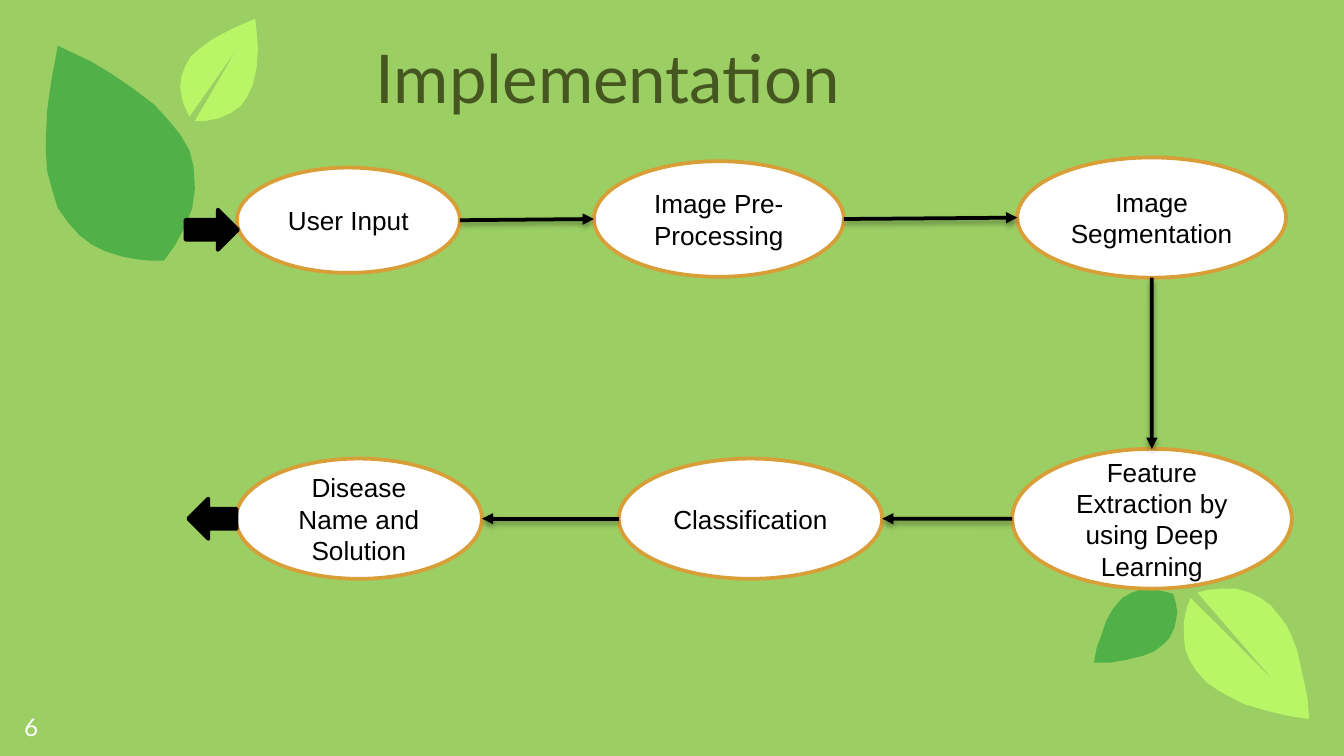
from dataclasses import dataclass

from lxml import etree
from pptx import Presentation
from pptx import util as u
from pptx.dml.color import RGBColor
from pptx.enum import shapes, text
from pptx.oxml import ns


@dataclass(frozen=True)
class Theme:
    background: str = "9BCF63"
    leaf_light: str = "B8F567"
    leaf_dark: str = "51B148"
    title: str = "465621"
    outline: str = "D89F39"
    white: str = "FFFFFF"
    black: str = "000000"
    heading_font: str = "Lato"
    body_font: str = "Arial"
    title_size: float = 36
    body_size: float = 14
    number_size: float = 13
    line_width: float = 2


LIGHT_LEAVES = [
    [(686.9, 331.9), (681.1, 324.7), (675.4, 320.4), (669.6, 317.5), (662.4, 315.4),
     (653.8, 315.4), (646.6, 316.1), (641.5, 317.5), (682.6, 365), (637.9, 320.4),
     (635.8, 325.4), (634.3, 332.6), (634.3, 341.3), (635, 347.8), (637.2, 353.5),
     (640.8, 359.3), (646.6, 365.8), (653, 370.1), (659.5, 373.7), (666.7, 377.3),
     (679, 380.9), (691.2, 383.8), (701.3, 385.2), (700.6, 375.1), (699.1, 367.2),
     (697, 357.8), (694.8, 347.8), (691.9, 340.6), (689.8, 336.2)],
    [(96.5, 46.8), (97.9, 54.7), (101.5, 62.6), (126.7, 26.6), (104.4, 64.8),
     (110.2, 64.8), (117.4, 63.4), (123.8, 60.5), (128.9, 56.9), (132.5, 51.8),
     (135.4, 45.4), (137.5, 36.7), (138.2, 25.9), (137.5, 17.3), (136.8, 10.1),
     (128.2, 13.7), (119.5, 18), (113, 21.6), (107.3, 25.9), (102.2, 30.2),
     (99.4, 35.3), (97.2, 41)],
]
DARK_LEAVES = [
    [(628.6, 318.2), (623.5, 316.8), (617.8, 315.4), (612, 315.4), (606.2, 317.5),
     (601.2, 320.4), (596.2, 326.2), (592.6, 332.6), (589.7, 341.3), (587.5, 347),
     (586.1, 355), (594.7, 355), (603.4, 353.5), (612, 351.4), (617.8, 349.2),
     (622.8, 345.6), (626.4, 342), (629.3, 336.2), (630.7, 328.3), (630, 323.3)],
    [(87.8, 139.7), (93.6, 131.8), (99.4, 121), (103, 111.6), (104.4, 100.8),
     (103.7, 89.3), (101.5, 80.6), (96.5, 72), (90, 64.1), (82.8, 56.2),
     (71.3, 47.5), (59.8, 39.6), (49, 33.1), (31, 24.5), (27.4, 43.9),
     (25.2, 59.8), (24.5, 77.8), (25.2, 91.4), (28.1, 102.2), (31, 111.6),
     (36.7, 119.5), (42.5, 126), (49, 131), (56.2, 134.6), (65.5, 137.5),
     (73.4, 139), (80.6, 139.7)],
]
STEPS = [
    ("User Input", (126.9, 89.8, 119.5, 56.4)),
    ("Image Pre-Processing", (318.2, 86.4, 133.9, 61.9)),
    ("Image Segmentation", (545, 84.4, 144, 64.4)),
    ("Feature Extraction by using Deep Learning", (542.2, 240.5, 149.8, 74.9)),
    ("Classification", (331.5, 245.7, 141.1, 64.4)),
    ("Disease Name and Solution", (126.4, 245.7, 131.8, 64.4)),
]
LINKS = [(0, "right", 1, "left"), (1, "right", 2, "left"), (2, "bottom", 3, "top"),
         (3, "left", 4, "right"), (4, "left", 5, "right")]


def write(shape, content, *, font, size, color, align=text.PP_ALIGN.LEFT,
          anchor=text.MSO_ANCHOR.MIDDLE, margins=(7.2, 3.6, 7.2, 3.6)):
    frame = shape.text_frame
    frame.word_wrap = True
    frame.auto_size = text.MSO_AUTO_SIZE.NONE
    frame.vertical_anchor = anchor
    (frame.margin_left, frame.margin_top,
     frame.margin_right, frame.margin_bottom) = map(u.Pt, margins)
    paragraph = frame.paragraphs[0]
    paragraph.text = content
    paragraph.alignment = align
    paragraph.font.name = font
    paragraph.font.size = u.Pt(size)
    paragraph.font.color.rgb = RGBColor.from_string(color)


def edge(shape, side):
    middle_x = shape.left + shape.width // 2
    middle_y = shape.top + shape.height // 2
    return {"left": (shape.left, middle_y), "top": (middle_x, shape.top),
            "right": (shape.left + shape.width, middle_y),
            "bottom": (middle_x, shape.top + shape.height)}[side]


class SlideBuilder:
    """Draw styled elements on the current slide."""

    def __init__(self, slide, theme):
        self.slide = slide
        self.theme = theme
        self.fill(slide.background, theme.background)

    def fill(self, target, color):
        target.fill.solid()
        target.fill.fore_color.rgb = RGBColor.from_string(color)

    def outline(self, shape, color):
        shape.line.color.rgb = RGBColor.from_string(color)
        shape.line.width = u.Pt(self.theme.line_width)

    def title(self, content, box):
        title = self.slide.shapes.title
        title.left, title.top, title.width, title.height = map(u.Pt, box)
        write(title, content, font=self.theme.heading_font, size=self.theme.title_size,
              color=self.theme.title, anchor=text.MSO_ANCHOR.TOP,
              margins=(27, 3.6, 7.2, 3.6))

    def number(self, content, box):
        shape = self.slide.shapes.add_textbox(*map(u.Pt, box))
        write(shape, content, font=self.theme.heading_font, size=self.theme.number_size,
              color=self.theme.white, margins=(7.2,) * 4)

    def leaf(self, points, color):
        start, *rest = [(u.Pt(x), u.Pt(y)) for x, y in points]
        builder = self.slide.shapes.build_freeform(*start)
        builder.add_line_segments(rest, close=True)
        shape = builder.convert_to_shape()
        shape.shadow.inherit = False
        self.fill(shape, color)
        shape.line.fill.background()

    def preset(self, kind, box, fill, line):
        shape = self.slide.shapes.add_shape(kind, *map(u.Pt, box))
        shape.shadow.inherit = False
        self.fill(shape, fill)
        self.outline(shape, line)
        return shape

    def step(self, content, box):
        shape = self.preset(shapes.MSO_SHAPE.OVAL, box, self.theme.white, self.theme.outline)
        write(shape, content, font=self.theme.body_font, size=self.theme.body_size,
              color=self.theme.black, align=text.PP_ALIGN.CENTER)
        return shape

    def block_arrow(self, box, rotation=0):
        black = self.theme.black
        self.preset(shapes.MSO_SHAPE.RIGHT_ARROW, box, black, black).rotation = rotation

    def link(self, start, end):
        line = self.slide.shapes.add_connector(shapes.MSO_CONNECTOR.STRAIGHT, *start, *end)
        self.outline(line, self.theme.black)
        etree.SubElement(line.line._get_or_add_ln(), ns.qn("a:tailEnd"), type="triangle")
        effects = etree.SubElement(line._element.spPr, ns.qn("a:effectLst"))
        shadow = etree.SubElement(effects, ns.qn("a:outerShdw"), blurRad=str(u.Pt(3.1)),
                                  dist=str(u.Pt(1.6)), dir="5400000", rotWithShape="0")
        color = etree.SubElement(shadow, ns.qn("a:srgbClr"), val=self.theme.black)
        etree.SubElement(color, ns.qn("a:alpha"), val="38000")


def main():
    presentation = Presentation()
    presentation.slide_width, presentation.slide_height = u.Pt(720), u.Pt(405)
    theme = Theme()
    builder = SlideBuilder(presentation.slides.add_slide(presentation.slide_layouts[5]), theme)
    for leaves, color in ((LIGHT_LEAVES, theme.leaf_light), (DARK_LEAVES, theme.leaf_dark)):
        for points in leaves:
            builder.leaf(points, color)
    builder.title("Implementation", (174.2, 15.8, 357.8, 67.7))
    builder.number("6", (5.8, 373.7, 43.2, 31))
    steps = [builder.step(content, box) for content, box in STEPS]
    for source, source_side, target, target_side in LINKS:
        builder.link(edge(steps[source], source_side), edge(steps[target], target_side))
    builder.block_arrow((99.4, 112.3, 28.1, 21.6))
    builder.block_arrow((100.8, 267.1, 25.9, 21.6), rotation=180)
    presentation.save("out.pptx")


if __name__ == "__main__":
    main()
